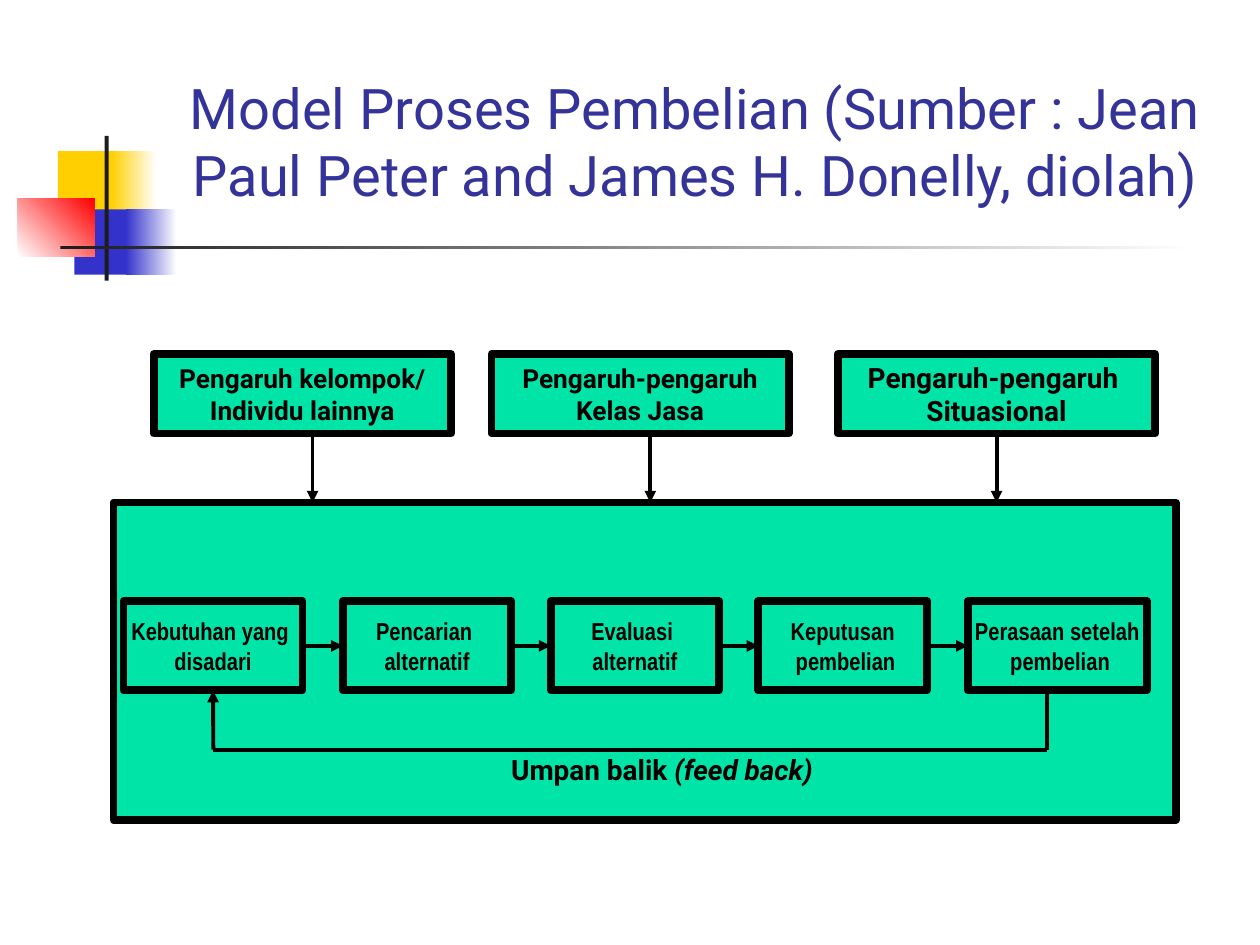
from lxml import etree
from pptx import Presentation
from pptx.dml.color import RGBColor
from pptx.enum.shapes import MSO_CONNECTOR, MSO_SHAPE
from pptx.enum.text import MSO_ANCHOR, PP_ALIGN
from pptx.oxml.ns import qn
from pptx.util import Cm, Pt

hue = RGBColor.from_string
deck = Presentation()
deck.slide_width, deck.slide_height = Cm(25.4), Cm(19.05)
slide = deck.slides.add_slide(deck.slide_layouts[6])
shapes = slide.shapes


def box(left, top, wide, high, tint, end=None, angle=0):
    """Add a rectangle, plain or fading from tint to end."""
    rect = shapes.add_shape(MSO_SHAPE.RECTANGLE, Cm(left), Cm(top), Cm(wide), Cm(high))
    rect.shadow.inherit = False
    rect.line.fill.background()
    if end:
        rect.fill.gradient()
        rect.fill.gradient_angle = angle
        for stop, shade in zip(rect.fill.gradient_stops, (tint, end)):
            stop.color.rgb = hue(shade)
    else:
        rect.fill.solid()
        rect.fill.fore_color.rgb = hue(tint)
    return rect


def link(x1, y1, x2, y2, arrow=True):
    """Add a straight black line, with an arrowhead at its end if wanted."""
    line = shapes.add_connector(MSO_CONNECTOR.STRAIGHT, Cm(x1), Cm(y1), Cm(x2), Cm(y2))
    line.line.color.rgb = hue("000000")
    line.line.width = Pt(2.25)
    if arrow:
        etree.SubElement(line.line._get_or_add_ln(), qn("a:tailEnd"), type="triangle")
    etree.SubElement(line._element.spPr, qn("a:effectLst"))
    return line


# Corner ornament and title rule
box(1.17, 3.05, 1.22, 1.32, "FFCF01")
box(2.24, 3.05, 0.91, 1.32, "FFCF01", "FFFFFF")
box(1.5, 4.22, 1.17, 1.32, "3333CC")
box(2.54, 4.22, 1.02, 1.32, "3333CC", "FFFFFF")
box(0.36, 4.01, 1.55, 1.17, "FFFFFF", "FF0000", 45)
box(2.11, 2.74, 0.08, 2.92, "1C1C1C")
box(1.22, 4.95, 22.86, 0.08, "1C1C1C", "FFFFFF")

# Title
title = shapes.add_textbox(Cm(3.2), Cm(1.73), Cm(21.64), Cm(2.59)).text_frame
title.word_wrap = True
title.vertical_anchor = MSO_ANCHOR.BOTTOM
para = title.paragraphs[0]
para.text = "Model Proses Pembelian (Sumber : Jean Paul Peter and James H. Donelly, diolah)"
para.alignment = PP_ALIGN.CENTER
para.font.name, para.font.size = "Roboto", Pt(32)
para.font.color.rgb = hue("333399")

# Framed boxes: the large panel, five steps, three influences
top, high = 12.12, 1.8
base = top + high
steps = [
    (2.49, 3.61, "Kebutuhan yang \ndisadari"),
    (6.91, 3.4, "Pencarian \nalternatif"),
    (11.1, 3.4, "Evaluasi \nalternatif"),
    (15.29, 3.4, "Keputusan\n pembelian"),
    (19.51, 3.61, "Perasaan setelah\n pembelian"),
]
causes = [
    (3.1, 5.99, "Pengaruh kelompok/\nIndividu lainnya", 15),
    (9.91, 5.99, "Pengaruh-pengaruh\nKelas Jasa", 15),
    (16.89, 6.4, "Pengaruh-pengaruh \nSituasional", 16),
]
frames = [(2.29, 10.13, 21.41, 6.4, "", "Roboto", 16)]
frames += [(x, top, w, high, text, "Arial Narrow", 14) for x, w, text in steps]
frames += [(x, 7.14, w, 1.6, text, "Roboto", size) for x, w, text, size in causes]

rects = []
for x, y, w, h, text, face, size in frames:
    rect = box(x, y, w, h, "00E4A8")
    rect.line.color.rgb = hue("000000")
    rect.line.width = Pt(4.5)
    rects.append(rect)
    if text:
        frame = rect.text_frame
        frame.word_wrap = False
        frame.vertical_anchor = MSO_ANCHOR.MIDDLE
        frame.text = text
        for para in frame.paragraphs:
            para.alignment = PP_ALIGN.CENTER
            para.font.name, para.font.size = face, Pt(size)
            para.font.bold = True
            para.font.color.rgb = hue("000000")

# Arrows from step to step
cells = rects[1:6]
for left, right in zip(cells, cells[1:]):
    line = link(0, 0, 1, 0)
    line.begin_connect(left, 3)
    line.end_connect(right, 1)

# Feedback loop
low = 15.11
link(21.11, base, 21.11, low, False)
link(21.11, low, 4.3, low, False)
link(4.3, low, 4.3, base).end_connect(cells[0], 2)

# Arrows from the influences down to the panel
for x in (6.3, 13.11):
    link(x, 8.74, x, 10.13)
link(20.09, 8.74, 20.09, 10.13).begin_connect(rects[-1], 2)

# Feedback label
note = shapes.add_textbox(Cm(9.75), Cm(15.04), Cm(7.19), Cm(0.94)).text_frame
note.word_wrap = False
para = note.paragraphs[0]
para.alignment = PP_ALIGN.CENTER
para.font.name, para.font.size = "Roboto", Pt(16)
para.font.bold = True
para.font.color.rgb = hue("000000")
para.add_run().text = "Umpan balik "
run = para.add_run()
run.text = "(feed back)"
run.font.italic = True

deck.save("out.pptx")
